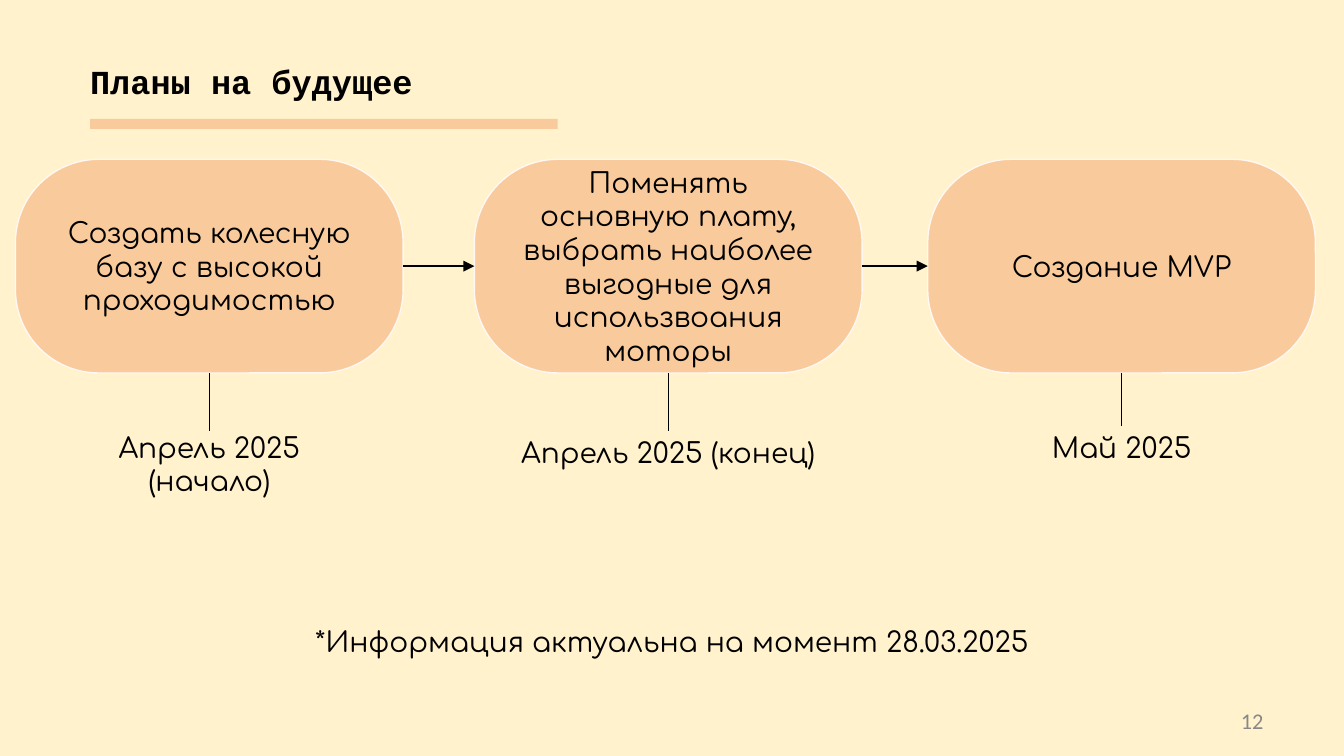
from collections import namedtuple
from lxml import etree
from pptx import Presentation
from pptx.dml.color import RGBColor
from pptx.enum.shapes import MSO_CONNECTOR, MSO_SHAPE
from pptx.enum.text import MSO_ANCHOR, PP_ALIGN
from pptx.oxml.ns import qn
from pptx.util import Inches, Pt

LEFT, CENTER, RIGHT = PP_ALIGN.LEFT, PP_ALIGN.CENTER, PP_ALIGN.RIGHT
TOP, MIDDLE = MSO_ANCHOR.TOP, MSO_ANCHOR.MIDDLE
RECTANGLE, ROUNDED = MSO_SHAPE.RECTANGLE, MSO_SHAPE.ROUNDED_RECTANGLE
STRAIGHT = MSO_CONNECTOR.STRAIGHT
TOP_SITE, LEFT_SITE, BOTTOM_SITE, RIGHT_SITE = range(4)

COLUMN = ROW = Inches(0.1)
COLUMNS, ROWS = 100, 56.25
CREAM, PEACH, EDGE = "FFF2CC", "F9CB9C", "FFF8F4"
BLACK, GRAY = "000000", "888888"

Box = namedtuple("Box", "left top width height")

STAGES = [
    (1.15, "Создать колесную базу с высокой проходимостью",
     "Апрель 2025 (начало)", 20.25, 4.8),
    (35.3, "Поменять основную плату, выбрать наиболее выгодные для "
     "использвоания моторы", "Апрель 2025 (конец)", 20.25, 3.1),
    (69.03, "Создание MVP", "Май 2025", 19.85, 3.1),
]


def color(value):
    return RGBColor.from_string(value)


def place(box):
    return (round(box.left * COLUMN), round(box.top * ROW),
            round(box.width * COLUMN), round(box.height * ROW))


def write(shape, text, size=15, font="Comfortaa", fill=BLACK, bold=False,
          align=CENTER, anchor=MIDDLE, inset_x=0.1, inset_y=0.1):
    frame = shape.text_frame
    frame.word_wrap = True
    frame.vertical_anchor = anchor
    frame.margin_left = frame.margin_right = Inches(inset_x)
    frame.margin_top = frame.margin_bottom = Inches(inset_y)
    para = frame.paragraphs[0]
    para.alignment = align
    span = para.add_run()
    span.text = text
    span.font.size = Pt(size)
    span.font.name = font
    span.font.bold = bold
    span.font.color.rgb = color(fill)


def add_text(page, box, text, **style):
    shape = page.shapes.add_textbox(*place(box))
    write(shape, text, **style)
    return shape


def add_block(page, box, kind, edge=None):
    shape = page.shapes.add_shape(kind, *place(box))
    shape.shadow.inherit = False
    shape.fill.solid()
    shape.fill.fore_color.rgb = color(PEACH)
    if edge:
        shape.line.color.rgb = color(edge)
        shape.line.width = Pt(0.75)
    else:
        shape.line.fill.background()
    return shape


def connect(page, start, start_site, end, end_site, arrow=False):
    link = page.shapes.add_connector(STRAIGHT, 0, 0, 0, 0)
    link.begin_connect(start, start_site)
    link.end_connect(end, end_site)
    link.line.color.rgb = color(BLACK)
    link.line.width = Pt(0.75)
    if arrow:
        outline = link.line._get_or_add_ln()
        etree.SubElement(outline, qn("a:tailEnd"), type="triangle")
    etree.SubElement(link._element.spPr, qn("a:effectLst"))


def add_heading(page, box):
    add_text(page, box._replace(height=3), "Планы на будущее", size=18,
             font="Courier New", bold=True, align=LEFT, anchor=TOP,
             inset_x=0, inset_y=0)
    bar = 0.75
    add_block(page, box._replace(top=box.top + box.height - bar, height=bar),
              RECTANGLE)


def add_stage(page, box, task, date, date_offset, date_height):
    stage = add_block(page, box, ROUNDED, EDGE)
    stage.adjustments[0] = 0.39
    write(stage, task)
    date_width = 25
    date_box = Box(box.left + (box.width - date_width) / 2,
                   box.top + date_offset, date_width, date_height)
    label = add_text(page, date_box, date)
    connect(page, stage, BOTTOM_SITE, label, TOP_SITE)
    return stage


def add_timeline(page, box):
    stages = [add_stage(page, Box(left, box.top, 28.85, box.height), *details)
              for left, *details in STAGES]
    for stage, following in zip(stages, stages[1:]):
        connect(page, stage, RIGHT_SITE, following, LEFT_SITE, arrow=True)


def add_footer(page, box):
    add_text(page, box._replace(height=7.4),
             "*Информация актуальна на момент 28.03.2025")
    number_box = Box(box.left + box.width - 28.3, box.top + 8.1, 23.3, 3)
    add_text(page, number_box, "12", size=12, font="Calibri", fill=GRAY,
             align=RIGHT, inset_y=0.05)


def main():
    deck = Presentation()
    deck.slide_width = COLUMNS * COLUMN
    deck.slide_height = round(ROWS * ROW)
    page = deck.slides.add_slide(deck.slide_layouts[6])
    page.background.fill.solid()
    page.background.fill.fore_color.rgb = color(CREAM)
    add_heading(page, Box(6.7, 4.53, 34.8, 5.07))
    add_timeline(page, Box(0, 11.85, COLUMNS, 15.9))
    add_footer(page, Box(0, 44.04, COLUMNS, ROWS - 44.04))
    deck.save("out.pptx")


if __name__ == "__main__":
    main()
